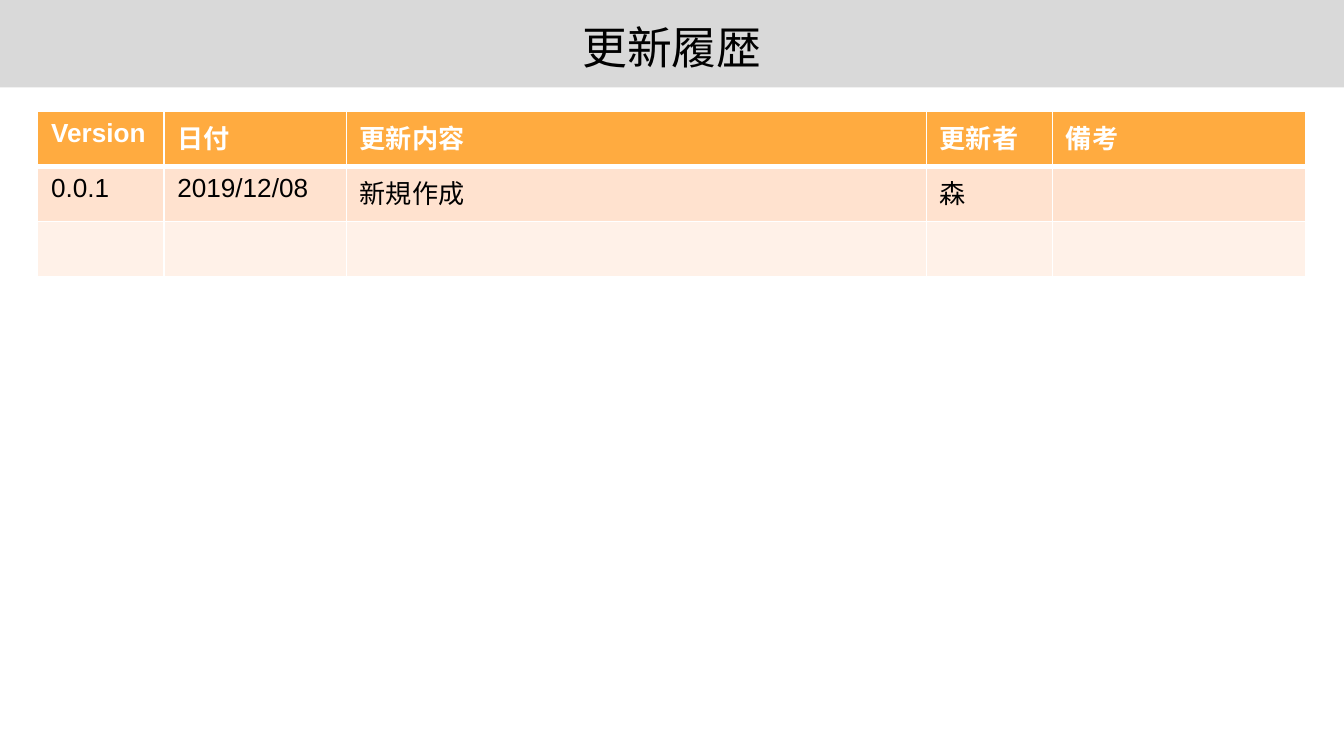
import pptx
import pptx.util
import pptx.dml.color
import pptx.enum.shapes
import pptx.enum.text
import pptx.oxml
import pptx.oxml.ns

Inches = pptx.util.Inches
Pt = pptx.util.Pt

SLIDE_WIDTH = 10
SLIDE_HEIGHT = SLIDE_WIDTH * 9 / 16
COLUMN_WIDTHS = [0.94, 1.36, 4.32, 0.94, 1.89]
ROW_FILLS = ["FFAB40", "FFE2CF", "FFF1E8"]
HISTORY = [
    ["Version", "日付", "更新内容", "更新者", "備考"],
    ["0.0.1", "2019/12/08", "新規作成", "森", ""],
    ["", "", "", "", ""],
]


def color(hex_string):
    return pptx.dml.color.RGBColor.from_string(hex_string)


def paint(target, hex_string):
    target.fill.solid()
    target.fill.fore_color.rgb = color(hex_string)


def style_text(paragraph, font_name, size, hex_string, bold=False):
    for run in paragraph.runs:
        run.font.name = font_name
        run.font.size = Pt(size)
        run.font.bold = bold
        run.font.color.rgb = color(hex_string)


def add_borders(cell, widths, hex_string):
    properties = cell._tc.get_or_add_tcPr()
    for position, (side, width) in enumerate(widths.items()):
        border = pptx.oxml.parse_xml(
            f'<a:ln{side} {pptx.oxml.ns.nsdecls("a")} w="{Pt(width)}">'
            f'<a:solidFill><a:srgbClr val="{hex_string}"/></a:solidFill></a:ln{side}>'
        )
        properties.insert(position, border)


def add_title_band(slide, left, top, width, height, title):
    band = slide.shapes.add_shape(
        pptx.enum.shapes.MSO_SHAPE.RECTANGLE,
        Inches(left), Inches(top), Inches(width), Inches(height),
    )
    band.shadow.inherit = False
    paint(band, "D9D9D9")
    band.line.fill.background()
    text_frame = band.text_frame
    text_frame.text = title
    text_frame.word_wrap = True
    text_frame.vertical_anchor = pptx.enum.text.MSO_ANCHOR.BOTTOM
    text_frame.margin_left = text_frame.margin_right = Inches(0.1)
    text_frame.margin_top = text_frame.margin_bottom = Inches(0.1)
    paragraph = text_frame.paragraphs[0]
    paragraph.alignment = pptx.enum.text.PP_ALIGN.CENTER
    style_text(paragraph, "Calibri", 24, "000000")


def add_history_table(slide, left, top, width, height):
    table = slide.shapes.add_table(
        len(HISTORY), len(COLUMN_WIDTHS),
        Inches(left), Inches(top), Inches(width), Inches(height),
    ).table
    for column, share in zip(table.columns, COLUMN_WIDTHS):
        column.width = Inches(width * share / sum(COLUMN_WIDTHS))
    for row_index, values in enumerate(HISTORY):
        table.rows[row_index].height = Inches(height / len(HISTORY))
        header = row_index == 0
        for column_index, value in enumerate(values):
            cell = table.cell(row_index, column_index)
            cell.text = value
            paragraph = cell.text_frame.paragraphs[0]
            paragraph.font.size = Pt(14)
            style_text(paragraph, "Arial", 14, "FFFFFF" if header else "000000", header)
            paint(cell, ROW_FILLS[row_index])
            widths = {
                "L": 1, "R": 1,
                "T": 3 if row_index == 1 else 1,
                "B": 3 if header else 1,
            }
            add_borders(cell, widths, "FFFFFF")


presentation = pptx.Presentation()
presentation.slide_width = Inches(SLIDE_WIDTH)
presentation.slide_height = Inches(SLIDE_HEIGHT)
slide = presentation.slides.add_slide(presentation.slide_layouts[6])
add_title_band(slide, 0, 0, SLIDE_WIDTH, 0.65, "更新履歴")
add_history_table(slide, 0.28, 0.83, 9.44, 1.23)
presentation.save("out.pptx")
